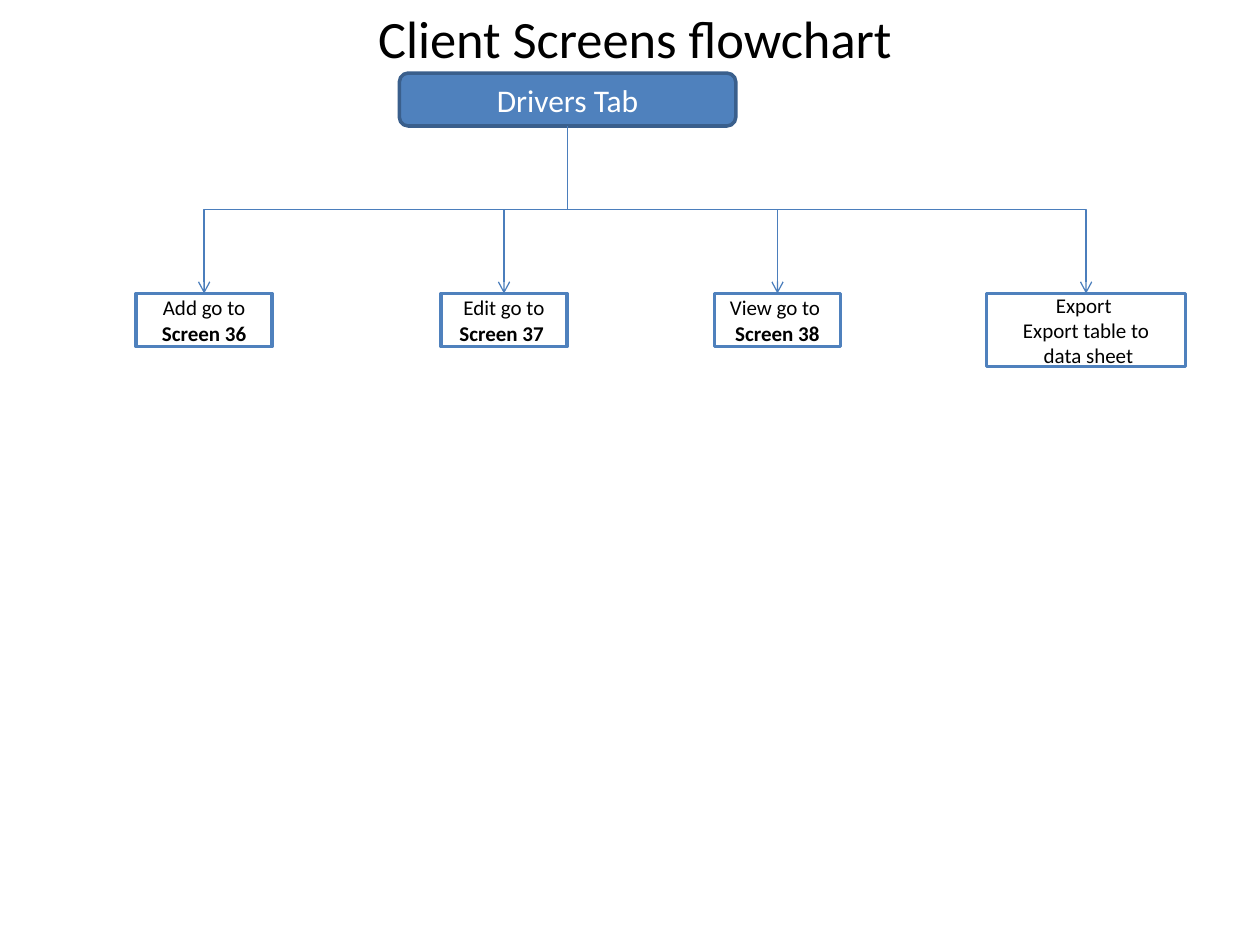
from dataclasses import dataclass

from lxml.etree import SubElement
from pptx import Presentation
from pptx.dml.color import RGBColor
from pptx.enum.shapes import MSO_CONNECTOR, MSO_SHAPE
from pptx.enum.text import MSO_ANCHOR, MSO_AUTO_SIZE, PP_ALIGN
from pptx.oxml.ns import qn
from pptx.shapes.autoshape import Shape
from pptx.slide import Slide
from pptx.text.text import TextFrame
from pptx.util import Inches, Pt

FONT = "Calibri"
BLACK = RGBColor(0x00, 0x00, 0x00)
WHITE = RGBColor(0xFF, 0xFF, 0xFF)
BLUE = RGBColor(0x4F, 0x81, 0xBD)
DARK_BLUE = RGBColor(0x3A, 0x5F, 0x8C)
ARROW_BLUE = RGBColor(0x4B, 0x7E, 0xBC)
ACTION_TOP = 2.33


@dataclass(frozen=True)
class Phrase:
    text: str
    bold: bool = False


@dataclass(frozen=True)
class Box:
    left: float
    top: float
    width: float
    height: float
    paragraphs: tuple[tuple[Phrase, ...], ...]
    size: int = 12
    preset: MSO_SHAPE = MSO_SHAPE.FLOWCHART_PROCESS
    fill: RGBColor = WHITE
    line: RGBColor = BLUE
    color: RGBColor = BLACK


DRIVERS = Box(3.17, 0.58, 2.67, 0.42, ((Phrase("Drivers Tab"),),), 18,
              MSO_SHAPE.FLOWCHART_ALTERNATE_PROCESS, BLUE, DARK_BLUE, WHITE)
ACTIONS = (
    Box(1.08, ACTION_TOP, 1.08, 0.42,
        ((Phrase("Add go to"),), (Phrase("Screen 36", True),))),
    Box(3.5, ACTION_TOP, 1, 0.42,
        ((Phrase("Edit go to "), Phrase("Screen 37 ", True)),)),
    Box(5.67, ACTION_TOP, 1, 0.42,
        ((Phrase("View go to "),), (Phrase("Screen 38", True),))),
    Box(7.83, ACTION_TOP, 1.58, 0.58,
        ((Phrase("Export "),), (Phrase("Export table to"),), (Phrase(" data sheet"),))),
)


def write_text(frame: TextFrame, paragraphs: tuple[tuple[Phrase, ...], ...],
               size: int, color: RGBColor) -> None:
    """Fill a text frame with centred paragraphs."""
    for index, phrases in enumerate(paragraphs):
        paragraph = frame.add_paragraph() if index else frame.paragraphs[0]
        paragraph.alignment = PP_ALIGN.CENTER
        for phrase in phrases:
            run = paragraph.add_run()
            run.text = phrase.text
            run.font.name = FONT
            run.font.size = Pt(size)
            run.font.bold = phrase.bold
            run.font.color.rgb = color


def draw_title(slide: Slide) -> None:
    """Draw the heading above the chart."""
    heading = slide.shapes.add_textbox(Inches(2.88), 0, Inches(4.32), Inches(0.61))
    frame = heading.text_frame
    frame.word_wrap = False
    frame.auto_size = MSO_AUTO_SIZE.SHAPE_TO_FIT_TEXT
    write_text(frame, ((Phrase("Client Screens flowchart"),),), 30, BLACK)


def draw_box(slide: Slide, box: Box) -> Shape:
    """Draw one flowchart step and return it."""
    step = slide.shapes.add_shape(box.preset, Inches(box.left), Inches(box.top),
                                  Inches(box.width), Inches(box.height))
    step.shadow.inherit = False
    step.fill.solid()
    step.fill.fore_color.rgb = box.fill
    step.line.color.rgb = box.line
    step.line.width = Pt(2)
    step.text_frame.word_wrap = True
    step.text_frame.vertical_anchor = MSO_ANCHOR.MIDDLE
    write_text(step.text_frame, box.paragraphs, box.size, box.color)
    return step


def draw_arrow(slide: Slide, source: Shape, target: Shape) -> None:
    """Join the bottom of one step to the top of another by a turned elbow."""
    start_x = source.left + source.width // 2
    start_y = source.top + source.height
    end_x = target.left + target.width // 2
    arrow = slide.shapes.add_connector(MSO_CONNECTOR.ELBOW, start_x, start_y,
                                       end_x, target.top)
    arrow.begin_connect(source, 2)
    arrow.end_connect(target, 0)
    drop, reach = target.top - start_y, abs(end_x - start_x)
    arrow.width, arrow.height = drop, reach
    arrow.left = (start_x + end_x - drop) // 2
    arrow.top = (start_y + target.top - reach) // 2
    goes_right = end_x > start_x
    properties = arrow.element.spPr
    transform = properties.find(qn("a:xfrm"))
    transform.set("rot", str((270 if goes_right else 90) * 60000))
    transform.set("flipH", "1" if goes_right else "0")
    arrow.line.color.rgb = ARROW_BLUE
    arrow.line.width = Pt(0.75)
    SubElement(properties.find(qn("a:ln")), qn("a:tailEnd"), type="arrow")
    SubElement(properties, qn("a:effectLst"))


def main() -> None:
    """Build the slide and save it."""
    presentation = Presentation()
    presentation.slide_width = Inches(10)
    presentation.slide_height = Inches(7.5)
    slide = presentation.slides.add_slide(presentation.slide_layouts[6])
    drivers = draw_box(slide, DRIVERS)
    draw_title(slide)
    for action in ACTIONS:
        draw_arrow(slide, drivers, draw_box(slide, action))
    presentation.save("out.pptx")


if __name__ == "__main__":
    main()
